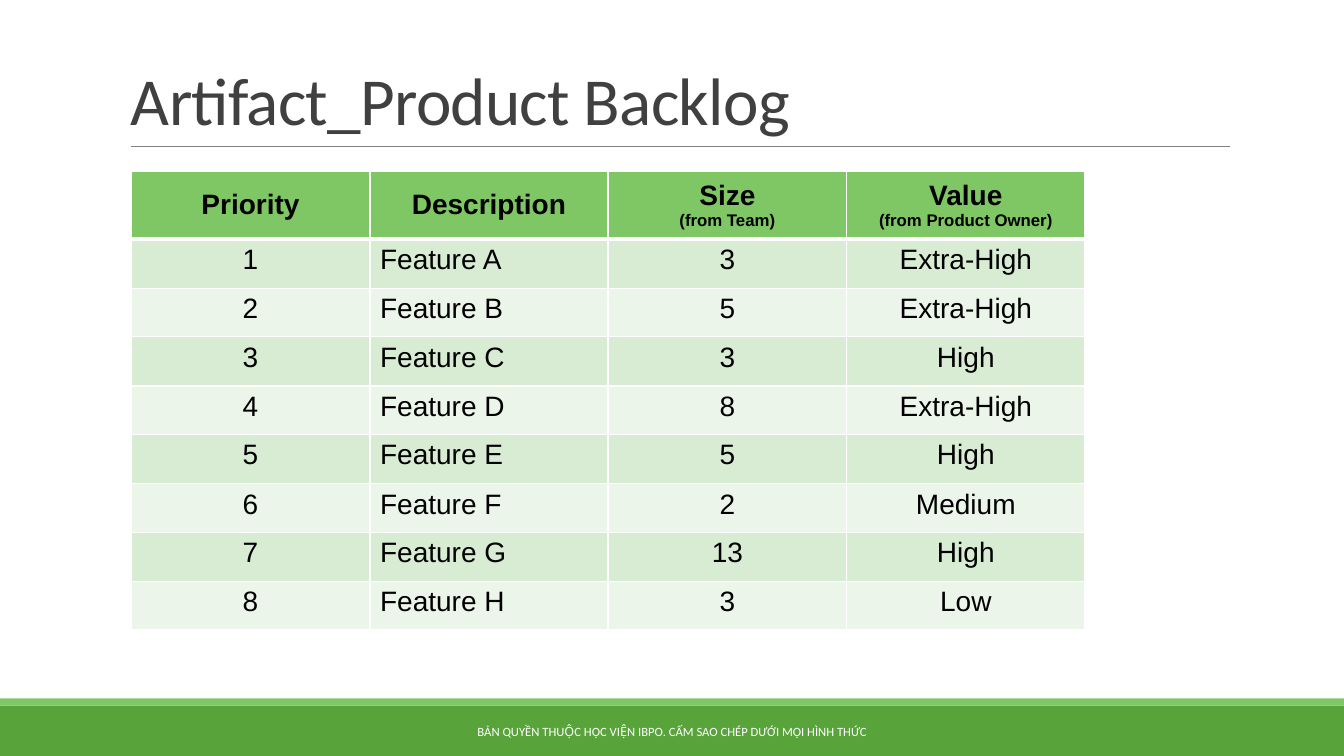
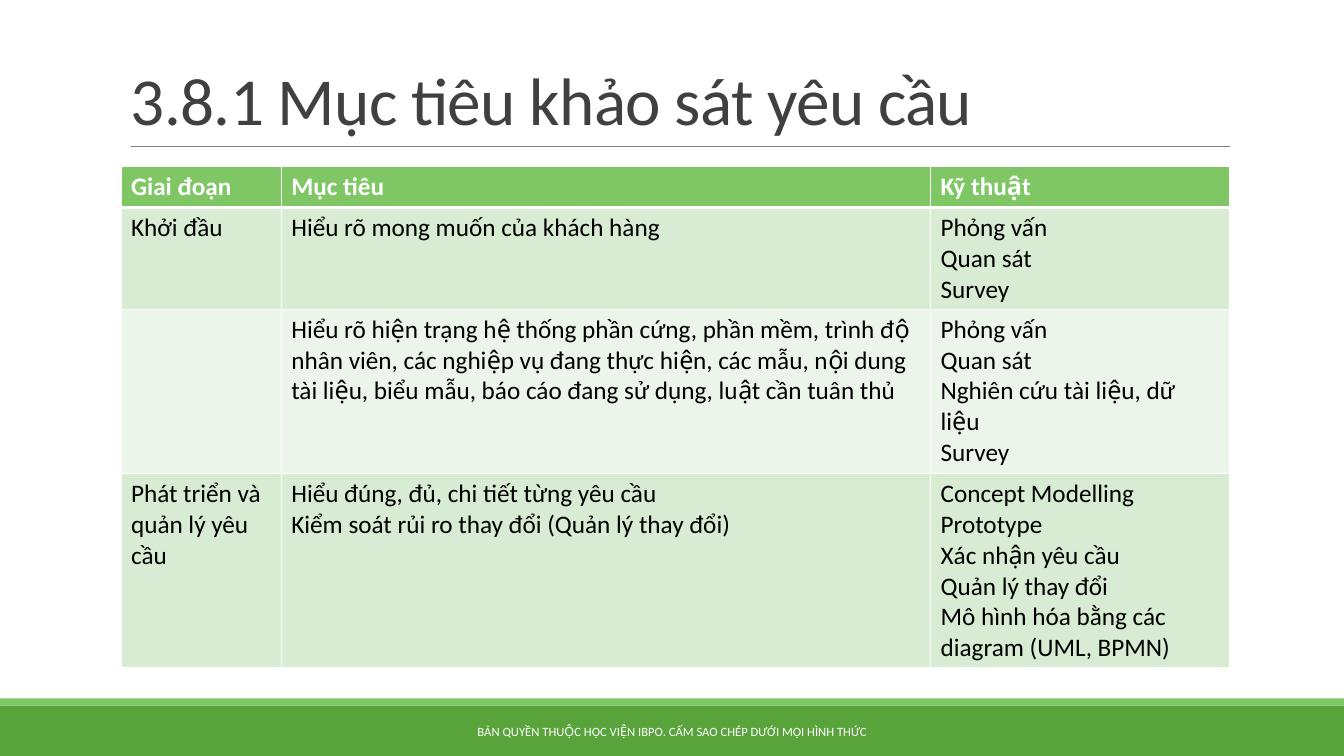
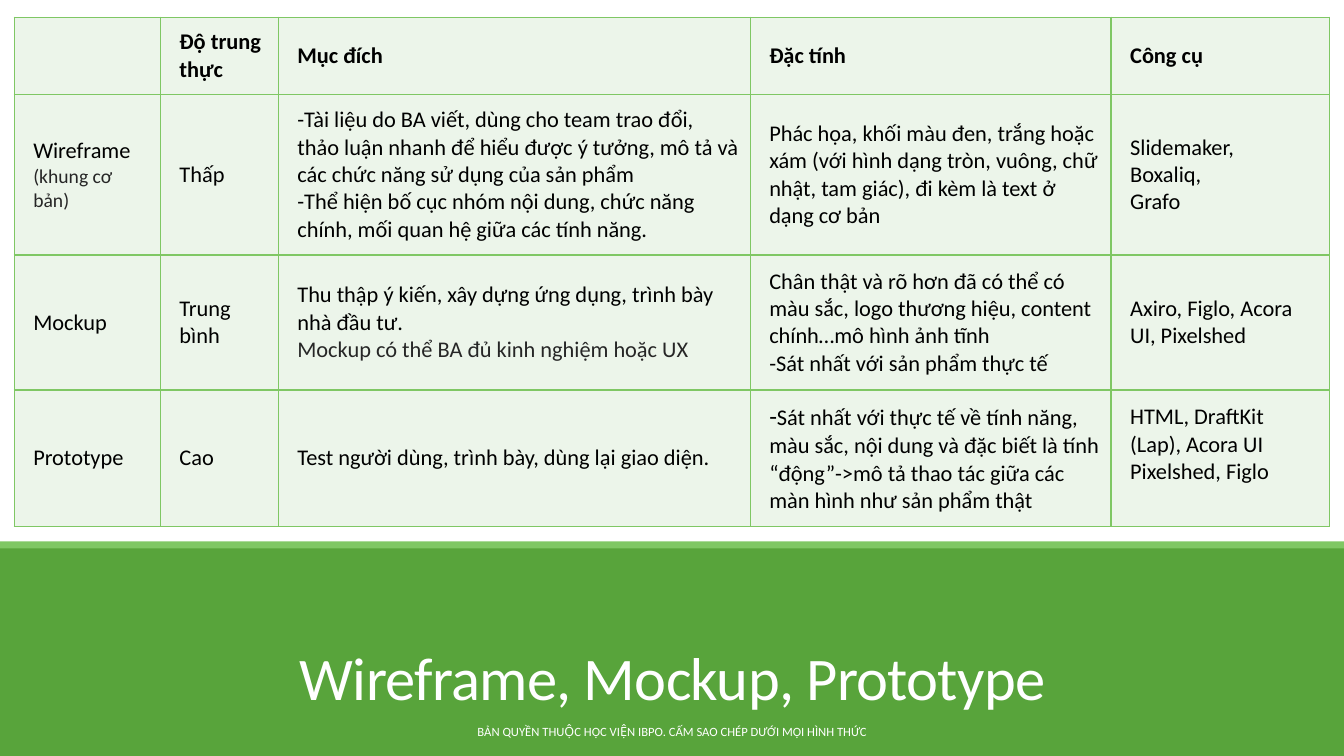
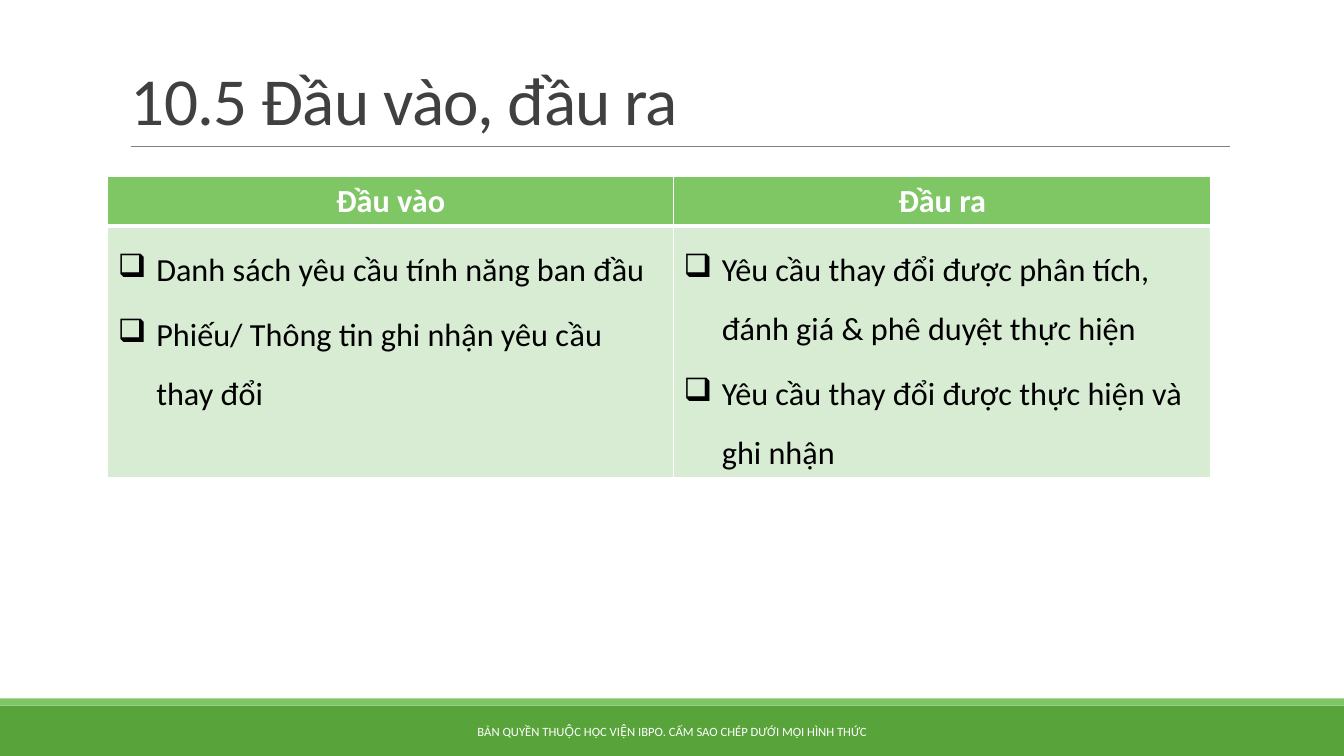
"""Build four slides on backlog, requirement goals, prototypes and change inputs."""
from pptx import Presentation
from pptx.dml.color import RGBColor as Rgb
from pptx.enum.shapes import MSO_CONNECTOR as Conn, MSO_SHAPE as Kind
from pptx.enum.text import MSO_ANCHOR as Anchor, PP_ALIGN as Align
from pptx.oxml.ns import qn
from pptx.util import Pt
from lxml.etree import SubElement as Sub

HUES = {
    "white": "FFFFFF", "black": "000000", "soft": "262626", "title": "404040",
    "rule": "808080", "band": "58A43B", "green": "7FC764",
    "mint": "D8EBD3", "pale": "ECF5EA",
}
SIDES = {"c": Align.CENTER, "l": Align.LEFT}
FOOT = "BẢN QUYỀN THUỘC HỌC VIỆN IBPO. CẤM SAO CHÉP DƯỚI MỌI HÌNH THỨC"
BASE = "aăâeêioôơuưy"
TONES = {
    0x300: "àằầèềìòồờùừỳ",
    0x301: "áắấéếíóốớúứý",
    0x309: "ảẳẩẻểỉỏổởủửỷ",
    0x303: "ãẵẫẽễĩõỗỡũữỹ",
    0x323: "ạặậẹệịọộợụựỵ",
}
MARKS = {
    ord(whole): bare + chr(tone)
    for tone, row in TONES.items()
    for whole, bare in zip(row + row.upper(), BASE + BASE.upper())
}


def apart(text):
    return text.translate(MARKS)


def px(size):
    return size * 9144


def rgb(hue):
    return Rgb.from_string(HUES[hue])


def put(frame, text, font="Calibri", size=18, hue="black", bold=False,
        side="l", lead=None, track=None, box=False):
    paras = text.split("\n") if isinstance(text, str) else text
    for num, runs in enumerate(paras):
        para = frame.add_paragraph() if num else frame.paragraphs[0]
        para.alignment = SIDES[side]
        if box:
            prop = para._p.get_or_add_pPr()
            prop.set("marL", str(px(38)))
            prop.set("indent", str(-px(38)))
            Sub(prop, qn("a:buFont")).set("typeface", "Wingdings")
            Sub(prop, qn("a:buChar")).set("char", "q")
            para.space_after = Pt(2)
            if num:
                para.space_before = Pt(2)
        if lead:
            para.line_spacing = lead
        for item in [runs] if isinstance(runs, str) else runs:
            word, own = (item, {}) if isinstance(item, str) else item
            if not word:
                continue
            run = para.add_run()
            run.text = word
            run.font.name = font
            run.font.size = Pt(own.get("size", size))
            run.font.bold = bold
            run.font.color.rgb = rgb(own.get("hue", hue))
            if track:
                run._r.get_or_add_rPr().set("spc", str(track))


class Deck:
    def __init__(self):
        self.show = Presentation()
        self.show.slide_width, self.show.slide_height = px(1333), px(750)

    def page(self, title, deep=False):
        self.slide = self.show.slides.add_slide(self.show.slide_layouts[6])
        top = 542 if deep else 700
        self.rect(top, 750 - top, "band")
        self.rect(537 if deep else 693, 7, "green")
        if deep:
            self.text(117, 634, 1100, 78, title, Anchor.BOTTOM, size=43.2,
                      hue="white", side="c", lead=0.85, track=-50)
        else:
            self.line(130, 145, 1220)
            self.text(120, 31, 1100, 112, title, Anchor.BOTTOM, size=48,
                      hue="title", lead=0.85, track=-50)
        self.text(403, 706, 527, 40, apart(FOOT), Anchor.MIDDLE, size=9,
                  hue="white", side="c")

    def rect(self, top, high, hue):
        shape = self.slide.shapes.add_shape(
            Kind.RECTANGLE, 0, px(top), px(1333), px(high))
        shape.shadow.inherit = False
        shape.fill.solid()
        shape.fill.fore_color.rgb = rgb(hue)
        shape.line.fill.background()

    def line(self, left, top, right):
        rule = self.slide.shapes.add_connector(
            Conn.STRAIGHT, px(left), px(top), px(right), px(top))
        rule.line.color.rgb = rgb("rule")
        rule.line.width = Pt(0.5)
        Sub(rule._element.spPr, qn("a:effectLst"))

    def text(self, left, top, wide, high, words, anchor, **form):
        frame = self.slide.shapes.add_textbox(
            px(left), px(top), px(wide), px(high)).text_frame
        frame.word_wrap = True
        frame.vertical_anchor = anchor
        put(frame, words, **form)

    def edge(self, cell, hue, above, below):
        prop = cell._tc.get_or_add_tcPr()
        for side, width in zip("LRTB", (1, 1, above, below)):
            line = Sub(prop, qn("a:ln" + side), w=str(Pt(width)))
            fill = Sub(line, qn("a:solidFill"))
            Sub(fill, qn("a:srgbClr")).set("val", HUES[hue])

    def table(self, left, top, cols, rows, cells, head, body, sides,
              fills=("green", "mint", "pale"), hue="white", thick=3,
              mid=0, pad=None):
        grid = self.slide.shapes.add_table(
            len(rows), len(cols), px(left), px(top),
            px(sum(cols)), px(sum(rows))).table
        grid.first_row = grid.horz_banding = False
        for col, wide in zip(grid.columns, cols):
            col.width = px(wide)
        for num, high in enumerate(rows):
            grid.rows[num].height = px(high)
            for spot, words in enumerate(cells[num]):
                cell = grid.cell(num, spot)
                if pad:
                    (cell.margin_left, cell.margin_top, cell.margin_right,
                     cell.margin_bottom) = map(px, pad)
                if num < mid:
                    cell.vertical_anchor = Anchor.MIDDLE
                self.edge(cell, hue, thick if num == 1 else 1,
                          1 if num else thick)
                cell.fill.solid()
                shade = fills[2 - num % 2] if num else fills[0]
                cell.fill.fore_color.rgb = rgb(shade)
                form = {"side": sides[spot], **body} if num else head
                put(cell.text_frame, words, **form)
        return grid


def backlog(deck):
    deck.page("Artifact_Product Backlog")
    sizes = ["3", "5", "3", "8", "5", "2", "13", "3"]
    worth = ["Extra-High", "Extra-High", "High", "Extra-High", "High",
             "Medium", "High", "Low"]
    small = {"size": 12}
    cells = [["Priority", "Description",
              ["Size", [("(from Team)", small)]],
              ["Value", [("(from Product Owner)", small)]]]]
    for num, (size, value) in enumerate(zip(sizes, worth)):
        cells.append([str(num + 1), "Feature " + "ABCDEFGH"[num], size, value])
    body = {"font": "Arial", "size": 20}
    deck.table(130, 170, [237, 236] * 2, [67] + [49, 48] * 4, cells,
               {**body, "bold": True, "side": "c"}, body, "clcc", mid=1)


def goals(deck):
    deck.page(apart("3.8.1 Mục tiêu khảo sát yêu cầu"))
    cells = [
        ["Giai đoạn", "Mục tiêu", "Kỹ thuật"],
        ["Khởi đầu", "Hiểu rõ mong muốn của khách hàng",
         "Phỏng vấn\nQuan sát\nSurvey"],
        ["", "Hiểu rõ hiện trạng hệ thống phần cứng, phần mềm, trình độ "
         "nhân viên, các nghiệp vụ đang thực hiện, các mẫu, nội dung tài "
         "liệu, biểu mẫu, báo cáo đang sử dụng, luật cần tuân thủ",
         "Phỏng vấn\nQuan sát\nNghiên cứu tài liệu, dữ liệu\nSurvey"],
        ["Phát triển và quản lý yêu cầu",
         "Hiểu đúng, đủ, chi tiết từng yêu cầu\n"
         "Kiểm soát rủi ro thay đổi (Quản lý thay đổi)",
         "Concept Modelling\nPrototype\nXác nhận yêu cầu\n"
         "Quản lý thay đổi\nMô hình hóa bằng các diagram (UML, BPMN)"],
    ]
    deck.table(120, 165, [159, 644, 297], [41, 101, 163, 192],
               [[apart(words) for words in row] for row in cells],
               {"hue": "white", "bold": True}, {}, "lll")


def models(deck):
    deck.page("Wireframe, Mockup, Prototype", deep=True)
    cells = [
        ["", "Độ trung thực", "Mục đích", "Đặc tính", "Công cụ"],
        [["Wireframe", [("(khung cơ bản)", {"size": 14, "hue": "soft"})]],
         "Thấp",
         "-Tài liệu do BA viết, dùng cho team trao đổi, thảo luận nhanh để "
         "hiểu được ý tưởng, mô tả và các chức năng sử dụng của sản phẩm\n"
         "-Thể hiện bố cục nhóm nội dung, chức năng chính, mối quan hệ giữa "
         "các tính năng.",
         "Phác họa, khối màu đen, trắng hoặc xám (với hình dạng tròn, vuông, "
         "chữ nhật, tam giác), đi kèm là text ở dạng cơ bản",
         "Slidemaker,\nBoxaliq,\nGrafo"],
        ["Mockup", "Trung bình",
         ["Thu thập ý kiến, xây dựng ứng dụng, trình bày nhà đầu tư.",
          [("Mockup có thể BA đủ kinh nghiệm hoặc UX", {"hue": "soft"})]],
         "Chân thật và rõ hơn đã có thể có màu sắc, logo thương hiệu, "
         "content chính…mô hình ảnh tĩnh\n-Sát nhất với sản phẩm thực tế",
         "Axiro, Figlo, Acora UI, Pixelshed"],
        ["Prototype", "Cao", "Test người dùng, trình bày, dùng lại giao diện.",
         [[("-", {"size": 18}),
           "Sát nhất với thực tế về tính năng, màu sắc, nội dung và đặc biết "
           "là tính “động”->mô tả thao tác giữa các màn hình như sản phẩm "
           "thật"]],
         "HTML, DraftKit (Lap), Acora UI\nPixelshed, Figlo"],
    ]
    body = {"size": 16}
    grid = deck.table(14, 17, [145, 117, 468, 358, 217], [77, 159, 134, 135],
                      cells, {**body, "bold": True}, body, "lllll",
                      fills=["pale"] * 3, hue="green", thick=1, mid=4,
                      pad=(19, 11, 11, 11))
    grid.cell(3, 4).margin_bottom = px(38)


def flows(deck):
    deck.page("10.5 Đầu vào, đầu ra")
    cells = [
        ["Đầu vào", "Đầu ra"],
        ["Danh sách yêu cầu tính năng ban đầu\n"
         "Phiếu/ Thông tin ghi nhận yêu cầu thay đổi",
         "Yêu cầu thay đổi được phân tích, đánh giá & phê duyệt thực hiện\n"
         "Yêu cầu thay đổi được thực hiện và ghi nhận"],
    ]
    deck.table(107, 175, [561, 533], [49, 250], cells,
               {"size": 23, "hue": "white", "bold": True, "side": "c"},
               {"size": 23, "lead": 1.5, "box": True}, "ll")


def main():
    deck = Deck()
    for build in (backlog, goals, models, flows):
        build(deck)
    deck.show.save("out.pptx")


if __name__ == "__main__":
    main()
